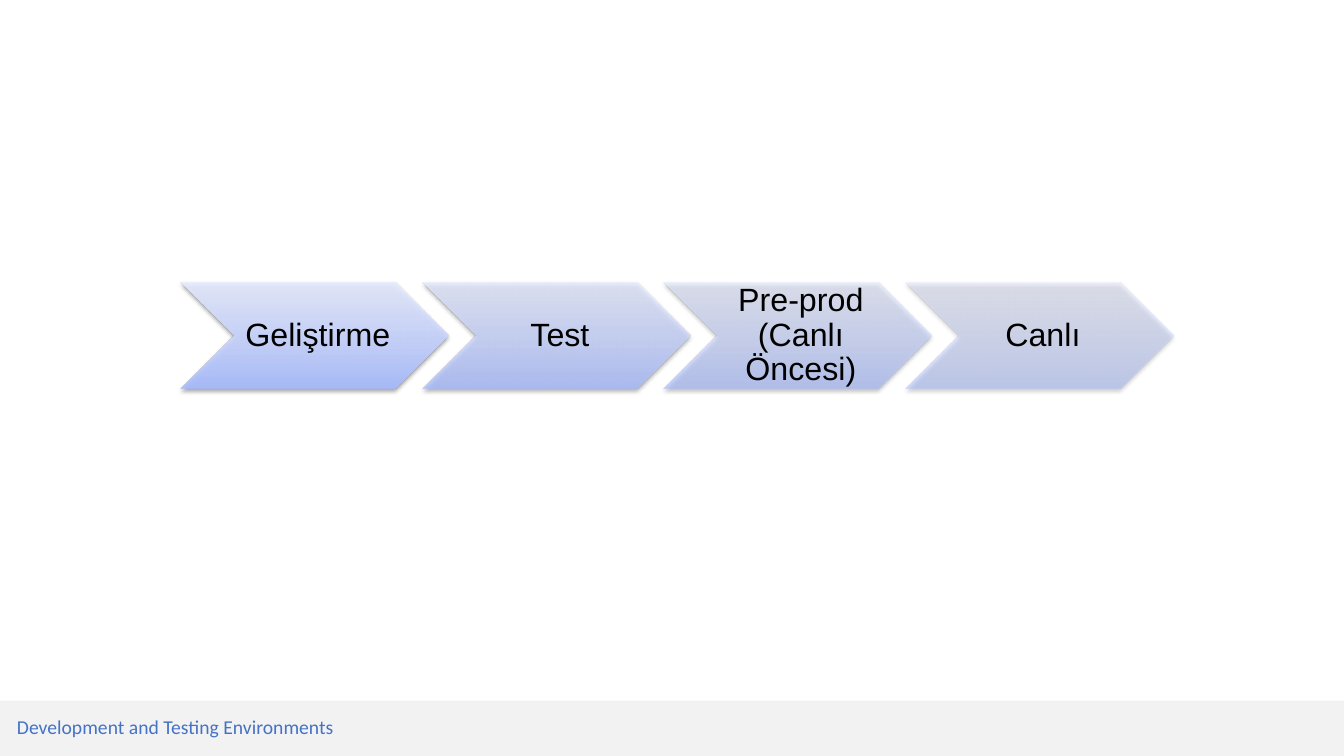
"""Build the slide of development and testing environments."""
from dataclasses import dataclass

from pptx import Presentation
from pptx.dml.color import RGBColor
from pptx.enum.shapes import MSO_SHAPE
from pptx.enum.text import MSO_ANCHOR, PP_ALIGN
from pptx.oxml import parse_xml
from pptx.oxml.ns import nsdecls, qn
from pptx.shapes.autoshape import Shape
from pptx.slide import Slide
from pptx.util import Emu, Pt

EMU_PER_PX = 9144


@dataclass(frozen=True)
class Theme:
    """Colours, fonts and type sizes of the slide."""

    band: str = "F2F2F2"
    stage_text: str = "000000"
    title_text: str = "4472C4"
    shadow: str = "000000"
    gradient: tuple[tuple[int, str], ...] = ((0, "A6BBFF"), (35, "C0CEFF"), (100, "E7ECFF"))
    stage_font: str = "Arial"
    title_font: str = "Calibri"
    stage_size: int = 23
    title_size: int = 14


@dataclass(frozen=True)
class Area:
    """A rectangle in px."""

    left: int
    top: int
    width: int
    height: int

    def emu(self) -> tuple[Emu, ...]:
        """Return the rectangle in EMU."""
        return tuple(map(px, (self.left, self.top, self.width, self.height)))


@dataclass(frozen=True)
class Stage:
    """One environment with the opacity of its chevron in percent."""

    label: str
    opacity: int


@dataclass(frozen=True)
class TextStyle:
    """How a text box sets its words."""

    font: str
    size: int
    color: str
    align: PP_ALIGN
    anchor: MSO_ANCHOR
    insets: tuple[int, int, int, int]
    space_after: int = 0


THEME = Theme()
PAGE = Area(0, 0, 1333, 750)
BAND = Area(0, 695, 1333, 55)
TITLE = Area(7, 701, 564, 37)
FIRST_CHEVRON = Area(179, 280, 266, 106)
LAST_CHEVRON_LEFT = 898
LABEL_INDENT = FIRST_CHEVRON.height // 2
LABEL_WIDTH = 160

STAGES = (
    Stage("Geliştirme", 90),
    Stage("Test", 77),
    Stage("Pre-prod (Canlı Öncesi)", 63),
    Stage("Canlı", 50),
)
STAGE_STYLE = TextStyle(THEME.stage_font, THEME.stage_size, THEME.stage_text,
                        PP_ALIGN.CENTER, MSO_ANCHOR.MIDDLE, (10, 3, 3, 3), 8)
TITLE_STYLE = TextStyle(THEME.title_font, THEME.title_size, THEME.title_text,
                        PP_ALIGN.LEFT, MSO_ANCHOR.BOTTOM, (10, 5, 10, 5))


def px(length: int) -> Emu:
    """Turn px into EMU."""
    return Emu(length * EMU_PER_PX)


def apply_format(target: object, values: dict[str, object]) -> None:
    """Set each named attribute of the target."""
    for name, value in values.items():
        setattr(target, name, value)


def add_plain_shape(page: Slide, kind: MSO_SHAPE, area: Area) -> Shape:
    """Add a shape without line or shadow."""
    shape = page.shapes.add_shape(kind, *area.emu())
    shape.shadow.inherit = False
    shape.line.fill.background()
    return shape


def add_band(page: Slide) -> None:
    """Draw the grey band at the foot of the slide."""
    band = add_plain_shape(page, MSO_SHAPE.RECTANGLE, BAND)
    band.fill.solid()
    band.fill.fore_color.rgb = RGBColor.from_string(THEME.band)


def add_chevron(page: Slide, area: Area, opacity: int) -> None:
    """Draw a chevron with a translucent gradient and a soft shadow."""
    chevron = add_plain_shape(page, MSO_SHAPE.CHEVRON, area)
    chevron.fill.background()
    stops = "".join(
        f'<a:gs pos="{place * 1000}"><a:srgbClr val="{color}">'
        f'<a:alpha val="{opacity * 1000}"/></a:srgbClr></a:gs>'
        for place, color in THEME.gradient
    )
    gradient = (f'<a:gradFill {nsdecls("a")} rotWithShape="1"><a:gsLst>{stops}</a:gsLst>'
                '<a:lin ang="16200000" scaled="0"/></a:gradFill>')
    shadow = (f'<a:effectLst {nsdecls("a")}><a:outerShdw blurRad="{Pt(3.1)}" '
              f'dist="{Pt(1.6)}" dir="5400000" rotWithShape="0">'
              f'<a:srgbClr val="{THEME.shadow}"><a:alpha val="38000"/></a:srgbClr>'
              '</a:outerShdw></a:effectLst>')
    properties = chevron._element.spPr
    for tag, markup in {"a:noFill": gradient, "a:effectLst": shadow}.items():
        properties.replace(properties.find(qn(tag)), parse_xml(markup))


def add_text(page: Slide, area: Area, words: str, style: TextStyle) -> None:
    """Add a text box of one paragraph."""
    frame = page.shapes.add_textbox(*area.emu()).text_frame
    left, top, right, bottom = map(px, style.insets)
    apply_format(frame, {
        "word_wrap": True, "vertical_anchor": style.anchor, "margin_left": left,
        "margin_top": top, "margin_right": right, "margin_bottom": bottom,
    })
    para = frame.paragraphs[0]
    apply_format(para, {
        "alignment": style.align, "line_spacing": 0.9, "space_after": Pt(style.space_after),
    })
    span = para.add_run()
    span.text = words
    apply_format(span.font, {"name": style.font, "size": Pt(style.size)})
    span.font.color.rgb = RGBColor.from_string(style.color)


def add_stages(page: Slide) -> None:
    """Draw the row of labelled chevrons at an equal pitch."""
    first = FIRST_CHEVRON
    pitch = (LAST_CHEVRON_LEFT - first.left) / (len(STAGES) - 1)
    for index, stage in enumerate(STAGES):
        left = round(first.left + index * pitch)
        add_chevron(page, Area(left, first.top, first.width, first.height), stage.opacity)
        label = Area(left + LABEL_INDENT, first.top, LABEL_WIDTH, first.height)
        add_text(page, label, stage.label, STAGE_STYLE)


def main() -> None:
    """Build and save the deck."""
    deck = Presentation()
    apply_format(deck, {"slide_width": px(PAGE.width), "slide_height": px(PAGE.height)})
    page = deck.slides.add_slide(deck.slide_layouts[6])
    add_band(page)
    add_stages(page)
    add_text(page, TITLE, "Development and Testing Environments", TITLE_STYLE)
    deck.save("out.pptx")


if __name__ == "__main__":
    main()
